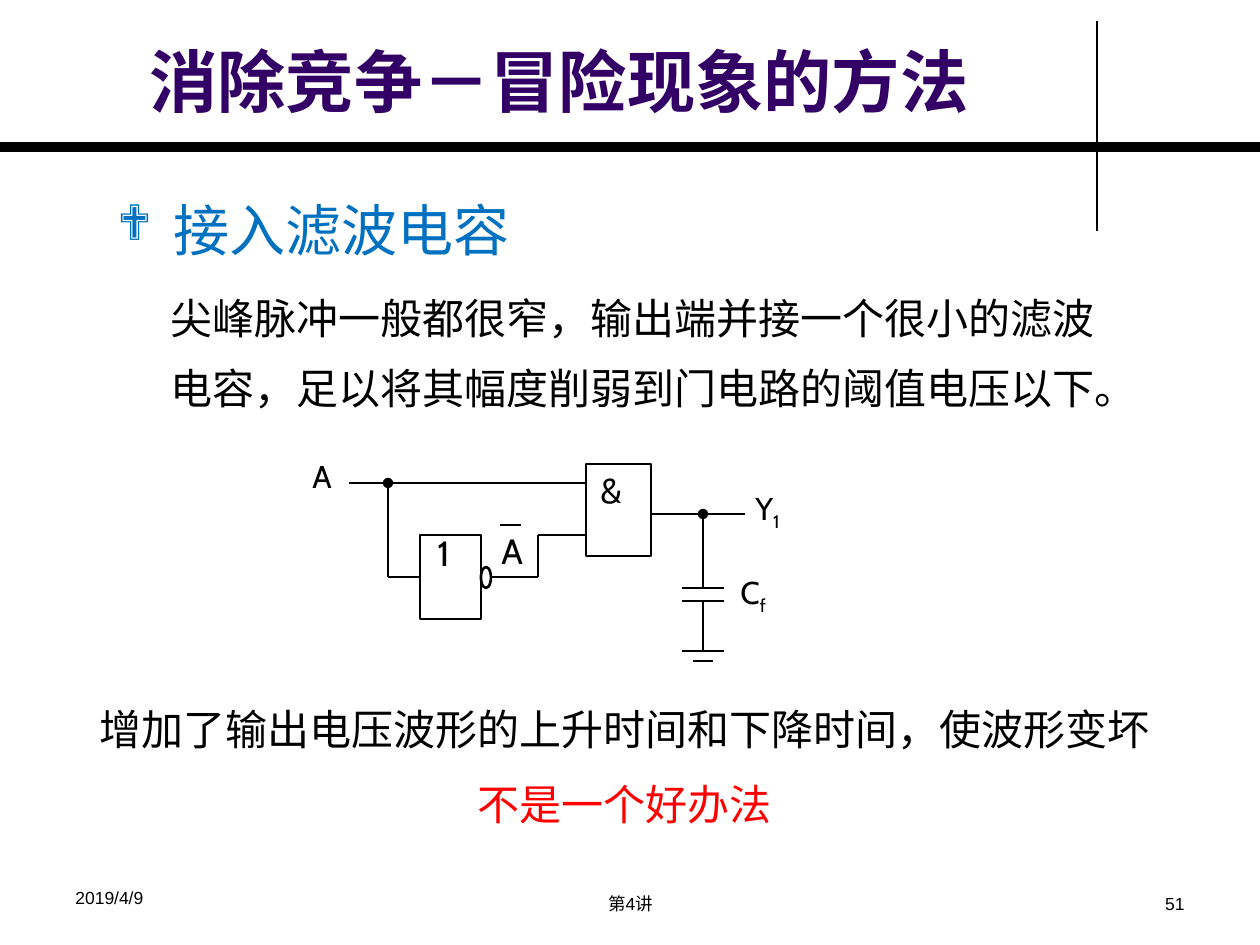
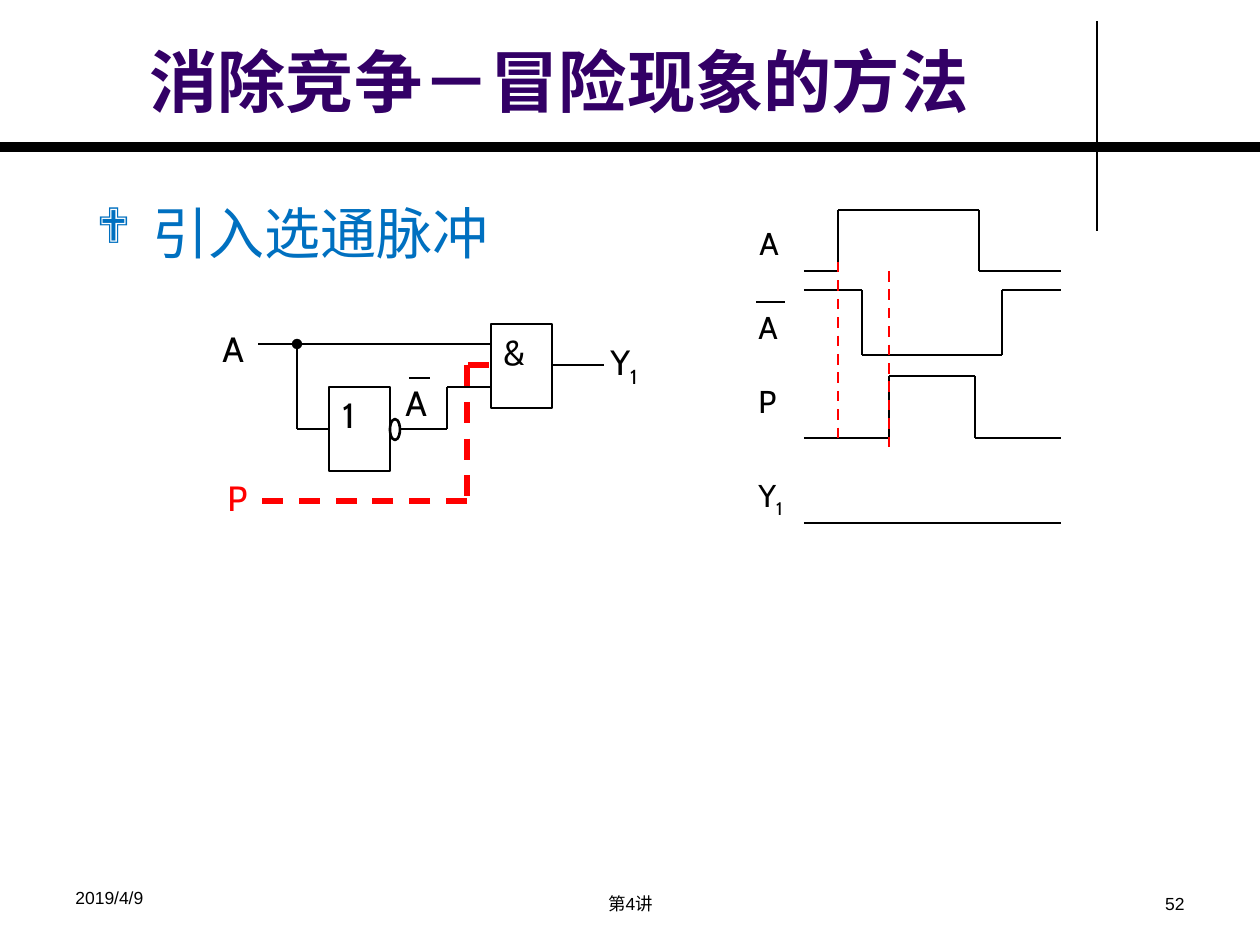
"""Build two slides on removing race hazards from a logic circuit."""
from dataclasses import dataclass
from itertools import pairwise
from typing import NamedTuple

from lxml import etree
from pptx import Presentation
from pptx.dml.color import RGBColor
from pptx.enum.dml import MSO_LINE
from pptx.enum.shapes import MSO_CONNECTOR, MSO_SHAPE
from pptx.enum.text import MSO_ANCHOR, MSO_AUTO_SIZE, PP_ALIGN
from pptx.oxml.ns import qn
from pptx.util import Emu, Pt

STRAIGHT = MSO_CONNECTOR.STRAIGHT
RECT, OVAL = MSO_SHAPE.RECTANGLE, MSO_SHAPE.OVAL
LEFT, CENTER, RIGHT = PP_ALIGN.LEFT, PP_ALIGN.CENTER, PP_ALIGN.RIGHT
TOP, BOTTOM = MSO_ANCHOR.TOP, MSO_ANCHOR.BOTTOM
FIXED, GROW = MSO_AUTO_SIZE.NONE, MSO_AUTO_SIZE.SHAPE_TO_FIT_TEXT
DASH = MSO_LINE.DASH

BLACK = RGBColor(0x00, 0x00, 0x00)
RED = RGBColor(0xFF, 0x00, 0x00)
BLUE = RGBColor(0x00, 0x70, 0xC0)
PURPLE = RGBColor(0x33, 0x00, 0x66)

HEAD_FONT, BODY_FONT = "Arial", "Cabin"
PX_PER_INCH = 126
TITLE = "消除竞争－冒险现象的方法"
BULLET_INDENT = 56

Point = tuple[int, int]
Box = tuple[int, int, int, int]


class Run(NamedTuple):
    """A piece of text with its colour and baseline shift."""
    text: str
    color: RGBColor = BLACK
    baseline: int = 0


class Label(NamedTuple):
    """A short signal name with an optional subscript."""
    text: str
    x: int
    y: int
    width: int
    size: int = 20
    sub: str = ""
    color: RGBColor = BLACK


@dataclass(frozen=True)
class Circuit:
    """An inverter at x, y feeding an AND gate."""
    x: int
    y: int
    rise: int
    and_gate: Box
    out_x: int
    out_y: int
    bar_y: int
    labels: tuple[Label, ...]


@dataclass(frozen=True)
class Wave:
    """A pulse that leaves its base level and returns to it."""
    base: int
    peak: int
    start: int
    end: int
    label: Label


FILTER_CIRCUIT = Circuit(420, 535, 52, (586, 464, 65, 92), 745, 514, 525, (
    Label("1", 425, 525, 44), Label("&", 588, 462, 49),
    Label("A", 300, 451, 47, 18), Label("A", 489, 523, 47),
    Label("Y", 743, 483, 66, 18, "1"), Label("C", 728, 567, 59, 18, "f")))

STROBE_CIRCUIT = Circuit(329, 387, 43, (491, 324, 61, 84), 604, 365, 378, (
    Label("1", 330, 387, 48), Label("&", 491, 324, 53),
    Label("A", 210, 321, 47), Label("A", 393, 375, 49),
    Label("Y", 598, 334, 63, 20, "1"), Label("P", 215, 470, 45, color=RED)))

WAVE_LEFT, WAVE_RIGHT, OUTPUT_Y = 804, 1061, 523
WAVES = (
    Wave(271, 210, 838, 979, Label("A", 747, 218, 54, 18)),
    Wave(290, 355, 862, 1002, Label("A", 746, 302, 54, 18)),
    Wave(438, 376, 889, 975, Label("P", 746, 376, 53, 18)),
)


def px(n: int) -> Emu:
    """Turn pixels into EMU."""
    return Emu(round(n * 914400 / PX_PER_INCH))


def text(s, box: Box, paragraphs: list[list[Run]], size: int, font: str = BODY_FONT,
         align=LEFT, spacing: float = 1.0, bold: bool = False, **frame):
    """Add a text box and return its text frame."""
    tf = s.shapes.add_textbox(*map(px, box)).text_frame
    settings = {"word_wrap": True, "auto_size": FIXED, "vertical_anchor": TOP, **frame}
    for name, value in settings.items():
        setattr(tf, name, value)
    for i, runs in enumerate(paragraphs):
        p = tf.add_paragraph() if i else tf.paragraphs[0]
        p.alignment, p.line_spacing = align, spacing
        for run in runs:
            r = p.add_run()
            r.text = run.text
            for name, value in {"name": font, "size": Pt(size), "bold": bold}.items():
                setattr(r.font, name, value)
            r.font.color.rgb = run.color
            if run.baseline:
                r.font._element.set("baseline", str(run.baseline * 1000))
    return tf


def label(s, item: Label) -> None:
    """Write a signal name."""
    runs = [Run(item.text, item.color)]
    if item.sub:
        runs.append(Run(item.sub, item.color, -25))
    text(s, (item.x, item.y, item.width, 54), [runs], item.size,
         word_wrap=False, auto_size=GROW)


def wire(s, *points: Point, width: float = 1.5, color: RGBColor = BLACK,
         dash=None, dot: bool = False) -> None:
    """Join points with straight lines, with an optional dot at the first."""
    for i, (start, end) in enumerate(pairwise(points)):
        c = s.shapes.add_connector(STRAIGHT, *map(px, (*start, *end)))
        c.line.width = Pt(width)
        c.line.color.rgb = color
        if dash is not None:
            c.line.dash_style = dash
        if dot and i == 0:
            etree.SubElement(c.line._get_or_add_ln(), qn("a:headEnd"), type="oval")
        etree.SubElement(c._element.spPr, qn("a:effectLst"))


def outline(s, kind, box: Box) -> None:
    """Draw an unfilled shape."""
    sp = s.shapes.add_shape(kind, *map(px, box))
    sp.shadow.inherit = False
    sp.fill.background()
    sp.line.color.rgb = BLACK
    sp.line.width = Pt(1.5)


def heading(s, content: str, x: int, y: int) -> None:
    """Write the blue bulleted heading."""
    tf = text(s, (x, y, 425, 81), [[Run(content, BLUE)]], 32,
              word_wrap=False, auto_size=GROW)
    pPr = tf.paragraphs[0]._p.get_or_add_pPr()
    pPr.set("marL", str(px(BULLET_INDENT)))
    pPr.set("indent", str(-px(BULLET_INDENT)))
    etree.SubElement(pPr, qn("a:buSzPct"), val="87500")
    etree.SubElement(pPr, qn("a:buFont"), typeface="Wingdings")
    etree.SubElement(pPr, qn("a:buChar"), char="❖")


def base_slide(prs, number: int):
    """Add a slide with its rules, title and footers."""
    s = prs.slides.add_slide(prs.slide_layouts[6])
    wire(s, (1097, 21), (1097, 231), width=0.75)
    wire(s, (0, 147), (1260, 147), width=6)
    text(s, (137, 25, 951, 102), [[Run(TITLE, PURPLE)]], 39, HEAD_FONT,
         bold=True, vertical_anchor=BOTTOM)
    footers = (
        ("2019/4/9", (63, 881, 294, 43), LEFT),
        ("第4讲", (431, 887, 399, 37), CENTER),
        (str(number), (903, 887, 294, 37), RIGHT),
    )
    for content, box, align in footers:
        text(s, box, [[Run(content)]], 10, HEAD_FONT, align)
    return s


def draw_circuit(s, c: Circuit) -> None:
    """Draw the gates, their wires and the signal names."""
    x, y = c.x, c.y
    gate_x, _, gate_w, _ = c.and_gate
    top, mid = y - c.rise, y + 42
    outline(s, RECT, c.and_gate)
    outline(s, RECT, (x, y, 61, 84))
    outline(s, OVAL, (x + 61, y + 32, 10, 21))
    wire(s, (gate_x, top), (x - 71, top))
    wire(s, (x - 32, top), (x - 32, mid), (x, mid), dot=True)
    wire(s, (gate_x, y), (x + 118, y), (x + 118, mid), (x + 72, mid))
    wire(s, (gate_x + gate_w, c.out_y), (c.out_x, c.out_y))
    wire(s, (x + 80, c.bar_y), (x + 101, c.bar_y))
    for item in c.labels:
        label(s, item)


def draw_capacitor(s, x: int, y: int) -> None:
    """Draw a grounded capacitor hanging from a junction."""
    wire(s, (x, y), (x, 588), dot=True)
    wire(s, (x, 601), (x, 651))
    for bar_y, half in ((588, 21), (601, 21), (651, 21), (661, 10)):
        wire(s, (x - half, bar_y), (x + half, bar_y))


def filter_slide(prs) -> None:
    """Build the slide on the filter capacitor."""
    s = base_slide(prs, 51)
    heading(s, "接入滤波电容", 105, 189)
    text(s, (158, 266, 977, 146),
         [[Run("尖峰脉冲一般都很窄，输出端并接一个很小的滤波电容，"
               "足以将其幅度削弱到门电路的阈值电压以下。")]],
         24, spacing=1.4, auto_size=GROW)
    text(s, (82, 672, 1086, 165),
         [[Run("增加了输出电压波形的上升时间和下降时间，使波形变坏")],
          [Run("不是一个好办法", RED)]],
         24, align=CENTER, spacing=1.5, word_wrap=False, auto_size=GROW)
    draw_circuit(s, FILTER_CIRCUIT)
    draw_capacitor(s, 703, FILTER_CIRCUIT.out_y)


def strobe_slide(prs) -> None:
    """Build the slide on the strobe pulse."""
    s = base_slide(prs, 52)
    heading(s, "引入选通脉冲", 84, 192)
    draw_circuit(s, STROBE_CIRCUIT)
    for points in (((467, 365), (467, 501), (257, 501)), ((489, 365), (467, 365))):
        wire(s, *points, width=3, color=RED, dash=DASH)
    for w in WAVES:
        wire(s, (WAVE_LEFT, w.base), (w.start, w.base), (w.start, w.peak),
             (w.end, w.peak), (w.end, w.base), (WAVE_RIGHT, w.base))
        label(s, w.label)
    wire(s, (756, 302), (785, 302))
    wire(s, (WAVE_LEFT, OUTPUT_Y), (WAVE_RIGHT, OUTPUT_Y))
    label(s, Label("Y", 746, 470, 72, 18, "1"))
    for x, y in ((838, 262), (889, 271)):
        wire(s, (x, y), (x, y + 179), color=RED, dash=DASH)


def main() -> None:
    """Build and save the presentation."""
    prs = Presentation()
    prs.slide_width, prs.slide_height = px(1260), px(945)
    filter_slide(prs)
    strobe_slide(prs)
    prs.save("out.pptx")


if __name__ == "__main__":
    main()
